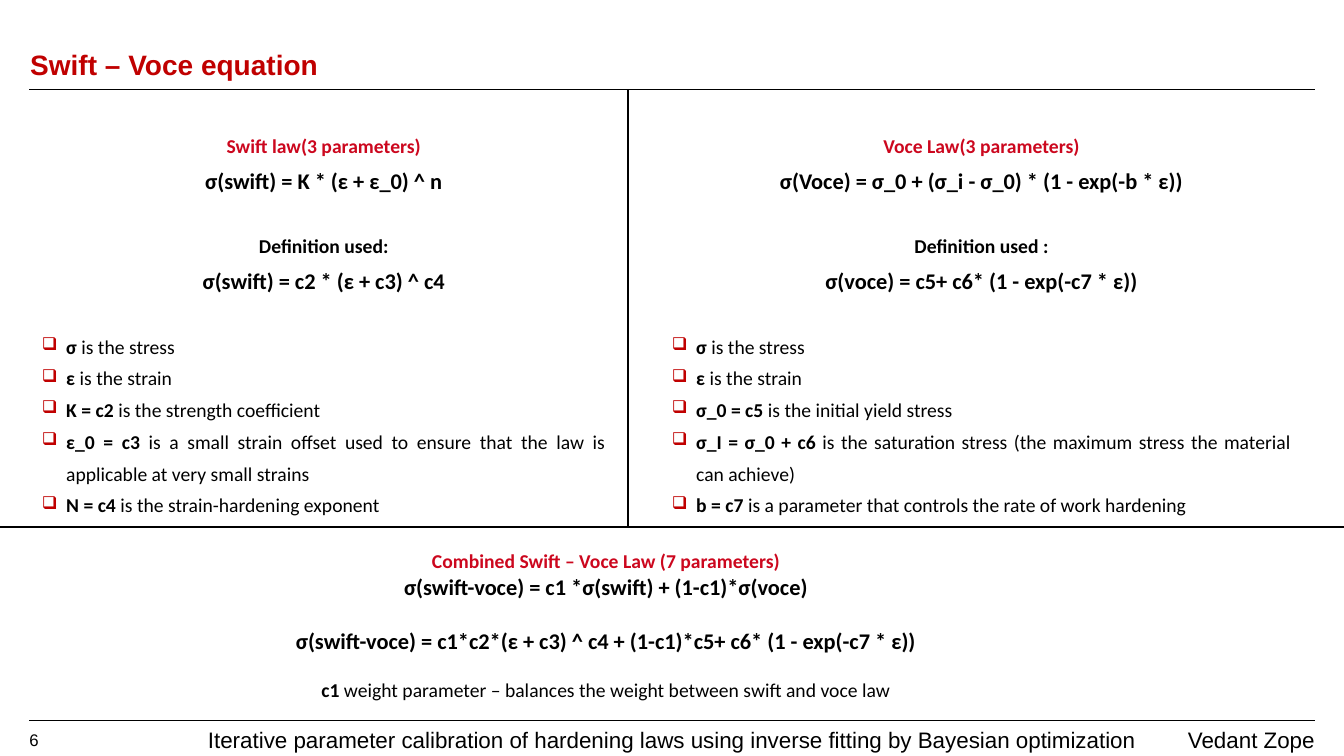
from dataclasses import dataclass

from lxml import etree
from pptx import Presentation, util as u
from pptx.dml.color import RGBColor
from pptx.enum import shapes, text
from pptx.oxml import ns

ALIGN = text.PP_ALIGN
ANCHOR = text.MSO_ANCHOR


@dataclass(frozen=True)
class Theme:
    heading_font: str = "Arial"
    body_font: str = "Calibri"
    black: str = "000000"
    red: str = "C00000"
    crimson: str = "CC071E"
    title: int = 20
    equation: int = 16
    footer: int = 16
    body: int = 14
    number: int = 12
    thin: float = 0.5
    thick: float = 1.5


def write(tf, *runs, size, font, color, bold=False, align=ALIGN.LEFT,
          spacing=1.0, before=0, bullet=None):
    """Add a paragraph; a run is a string or a (string, bold) pair."""
    first = tf.paragraphs[0]
    p = first if not first.runs else tf.add_paragraph()
    p.alignment, p.line_spacing, p.space_before = align, spacing, u.Pt(before)
    if bullet:
        add_bullet(p, bullet)
    for run in runs:
        words, strong = (run, bold) if isinstance(run, str) else run
        r = p.add_run()
        r.text = words
        r.font.name, r.font.size, r.font.bold = font, u.Pt(size), strong
        r.font.color.rgb = RGBColor.from_string(color)


def add_bullet(p, color):
    props = p._p.get_or_add_pPr()
    indent = u.Inches(0.24)
    props.set("marL", str(indent))
    props.set("indent", str(-indent))
    tint = etree.SubElement(props, ns.qn("a:buClr"))
    etree.SubElement(tint, ns.qn("a:srgbClr"), val=color)
    etree.SubElement(props, ns.qn("a:buSzPct"), val="90000")
    etree.SubElement(props, ns.qn("a:buChar"), char="❑")


class Canvas:
    """A slide on a grid of 32 columns and 18 rows."""

    def __init__(self, prs, theme):
        self.theme = theme
        self.slide = prs.slides.add_slide(prs.slide_layouts[6])
        self.col, self.row = prs.slide_width / 32, prs.slide_height / 18

    def place(self, x, y):
        return int(x * self.col), int(y * self.row)

    def line(self, x1, y1, x2, y2, width):
        s = self.slide.shapes.add_connector(
            shapes.MSO_CONNECTOR.STRAIGHT, *self.place(x1, y1), *self.place(x2, y2))
        s.line.width = u.Pt(width)
        s.line.color.rgb = RGBColor.from_string(self.theme.black)
        etree.SubElement(s._element.spPr, ns.qn("a:effectLst"))

    def box(self, x, y, cols, rows, anchor=ANCHOR.TOP):
        s = self.slide.shapes.add_textbox(*self.place(x, y), *self.place(cols, rows))
        tf = s.text_frame
        tf.word_wrap, tf.vertical_anchor = True, anchor
        tf.margin_left = tf.margin_right = tf.margin_top = tf.margin_bottom = 0
        return tf

    def label(self, words, *area, size, anchor=ANCHOR.MIDDLE, **fmt):
        fmt.setdefault("color", self.theme.black)
        write(self.box(*area, anchor=anchor), words, size=size,
              font=self.theme.heading_font, **fmt)

    def heading(self, tf, words, color, **fmt):
        write(tf, words, size=self.theme.body, font=self.theme.body_font,
              color=color, bold=True, align=ALIGN.CENTER, **fmt)

    def equation(self, tf, words, **fmt):
        write(tf, words, size=self.theme.equation, font=self.theme.body_font,
              color=self.theme.black, bold=True, align=ALIGN.CENTER, **fmt)

    def law(self, area, name, general, definition, used, symbols):
        t, spacing, gap = self.theme, 1.35, 23
        tf = self.box(*area)
        self.heading(tf, name, t.crimson, spacing=spacing)
        self.equation(tf, general, spacing=spacing)
        self.heading(tf, definition, t.black, spacing=spacing, before=gap)
        self.equation(tf, used, spacing=spacing)
        for i, (symbol, meaning) in enumerate(symbols):
            write(tf, (symbol, True), " " + meaning, size=t.body, font=t.body_font,
                  color=t.black, align=ALIGN.JUSTIFY, spacing=spacing,
                  before=0 if i else gap, bullet=t.red)

    def combined_law(self, area):
        t = self.theme
        tf = self.box(*area)
        self.heading(tf, "Combined Swift – Voce Law (7 parameters)", t.crimson)
        self.equation(tf, "σ(swift-voce) = c1 *σ(swift) + (1-c1)*σ(voce)")
        self.equation(tf, "σ(swift-voce) = c1*c2*(ε + c3) ^ c4 + (1-c1)*c5+ c6* "
                          "(1 - exp(-c7 * ε))", before=19.5)
        write(tf, ("c1", True),
              " weight parameter – balances the weight between swift and voce law",
              size=t.body, font=t.body_font, color=t.black,
              align=ALIGN.CENTER, before=17)


def main():
    prs = Presentation()
    prs.slide_width, prs.slide_height = u.Inches(13.33), u.Inches(7.5)
    t = Theme()
    c = Canvas(prs, t)

    left, right, top, bottom = 0.7, 31.3, 2.14, 17.16
    for y in (top, bottom):
        c.line(left, y, right, y, t.thin)
    c.label("6", left, 17.38, 2.2, 0.67, size=t.number, anchor=ANCHOR.TOP)
    c.label("Iterative parameter calibration of hardening laws using inverse "
            "fitting by Bayesian optimization",
            1, 17.23, 30, 0.74, size=t.footer, align=ALIGN.CENTER)
    c.label("Vedant Zope", 27.22, 17.23, 4.08, 0.74, size=t.footer, align=ALIGN.RIGHT)
    c.label("Swift – Voce equation", 0.72, 0.53, 24, 1.42, size=t.title,
            anchor=ANCHOR.BOTTOM, color=t.red, bold=True, spacing=0.9)

    c.law((1, 3, 13.42, 9.8), "Swift law(3 parameters)",
          "σ(swift) = K * (ε + ε_0) ^ n",
          "Definition used:", "σ(swift) = c2 * (ε + c3) ^ c4",
          [("σ", "is the stress"),
           ("ε", "is the strain"),
           ("K = c2", "is the strength coefficient"),
           ("ε_0 = c3", "is a small strain offset used to ensure that the law is "
                        "applicable at very small strains"),
           ("N = c4", "is the strain-hardening exponent")])
    c.law((16, 3, 14.74, 9.8), "Voce Law(3 parameters)",
          "σ(Voce) = σ_0 + (σ_i - σ_0) * (1 - exp(-b * ε))",
          "Definition used :", "σ(voce) = c5+ c6* (1 - exp(-c7 * ε))",
          [("σ", "is the stress"),
           ("ε", "is the strain"),
           ("σ_0 = c5", "is the initial yield stress"),
           ("σ_I = σ_0 + c6", "is the saturation stress (the maximum stress the "
                              "material can achieve)"),
           ("b = c7", "is a parameter that controls the rate of work hardening")])
    c.combined_law((1.54, 13.08, 25.78, 4.2))

    divider = 12.55
    c.line(14.95, divider, 14.95, top, t.thick)
    c.line(0, divider, 32, divider, t.thick)
    prs.save("out.pptx")


if __name__ == "__main__":
    main()
